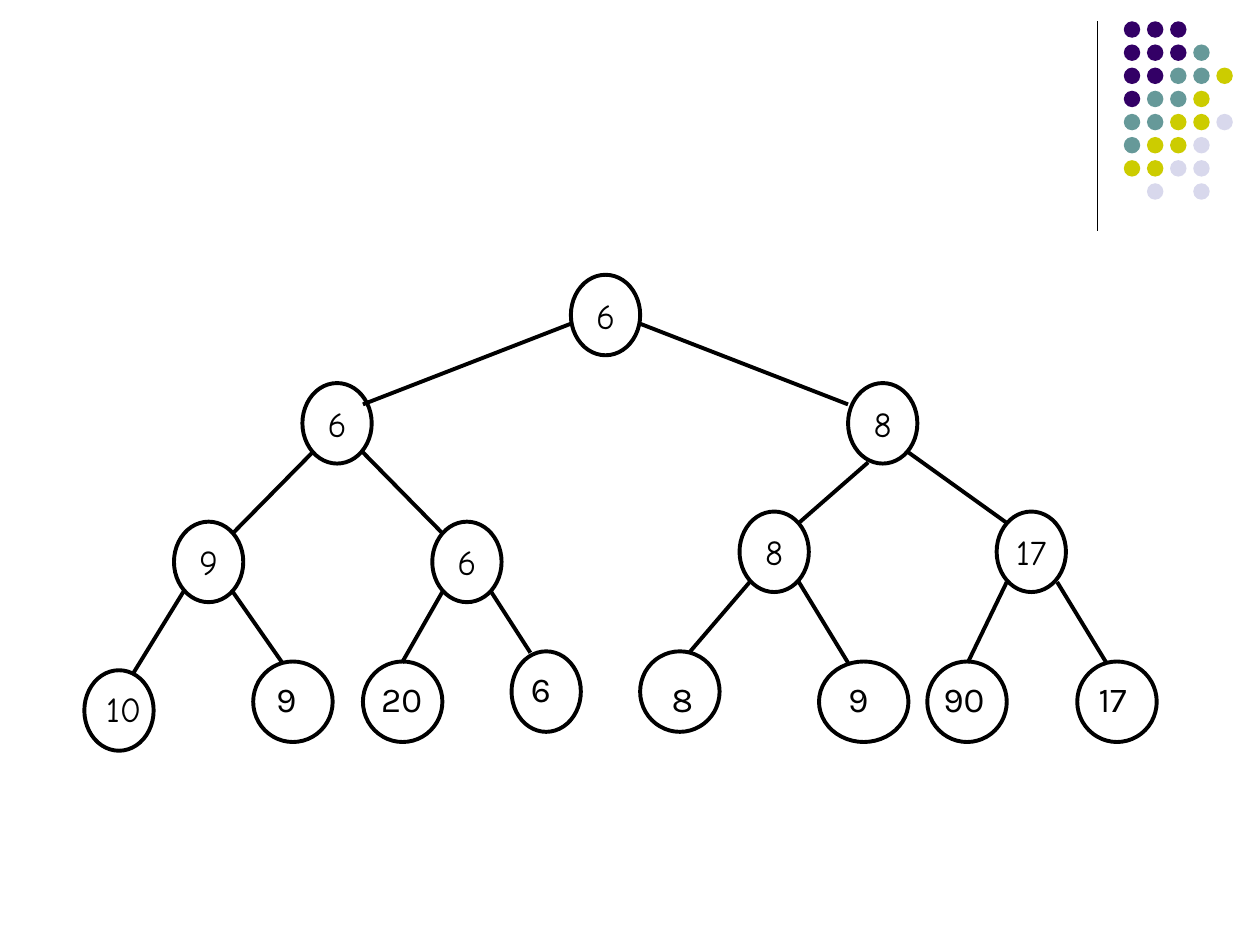
from pptx import Presentation
from pptx.dml.color import RGBColor
from pptx.enum.shapes import MSO_CONNECTOR, MSO_SHAPE
from pptx.enum.text import MSO_ANCHOR, MSO_AUTO_SIZE, PP_ALIGN
from pptx.oxml import parse_xml
from pptx.oxml.ns import nsdecls
from pptx.util import Pt

BLACK = RGBColor(0x00, 0x00, 0x00)
WHITE = RGBColor(0xFF, 0xFF, 0xFF)
PURPLE = RGBColor(0x33, 0x00, 0x66)
TEAL = RGBColor(0x66, 0x99, 0x99)
YELLOW = RGBColor(0xCC, 0xCC, 0x00)
LAVENDER = RGBColor(0xD8, 0xD8, 0xEC)

DOT_COLORS = {"P": PURPLE, "T": TEAL, "Y": YELLOW, "L": LAVENDER}
DOT_ROWS = ["PPP", "PPPT", "PPTTY", "PTTY", "TTYYL", "TYYL", "YYLL", " L L"]
DOT_LEFT, DOT_TOP, DOT_PITCH, DOT_SIZE = 642.2, 12.2, 13.22, 9.4

NODE_WIDTH, NODE_HEIGHT = 39.6, 46
LABEL_HEIGHT = 31.5

INNER_NODES = [
    ("6", 326.2, 157),
    ("8", 484.6, 218.9),
    ("6", 172.8, 218.9),
    ("9", 99.4, 298.1),
    ("6", 247, 298.1),
    ("8", 422.6, 292.3),
    ("17", 569.5, 292.3),
]

LEAF_NODES = [
    (48.2, 383, 39.6),
    (144.7, 378, 45.4),
    (207.4, 378, 45.4),
    (292.3, 372.2, 39.6),
    (365.8, 372.2, 45.4),
    (468, 378, 51.1),
    (529.9, 378, 45.4),
    (615.6, 378, 45.4),
]

LEAF_LABELS = [
    ("10", 36.7, 389.5, 51.1, "Comic Neue"),
    ("9", 139, 383.8, 37.4, "Karla"),
    ("20", 195.8, 383.8, 52.6, "Karla"),
    ("6", 269.3, 378, 52.6, "Karla"),
    ("8", 342.7, 383.8, 60.5, "Karla"),
    ("9", 450.7, 383.8, 52.6, "Karla"),
    ("90", 524.2, 383.8, 45.4, "Karla"),
    ("17", 575.3, 383.8, 75.6, "Karla"),
]

EDGES = [
    (326.2, 185, 207.4, 231.1),
    (365.8, 185, 484.6, 231.1),
    (178.6, 258.5, 133.2, 304.6),
    (207.4, 258.5, 252.7, 304.6),
    (496.1, 264.2, 456.5, 298.8),
    (519.1, 258.5, 575.3, 298.8),
    (105.1, 337.7, 76.3, 384.5),
    (133.2, 338.4, 161.3, 378.7),
    (252.7, 338.4, 229.7, 378.7),
    (280.8, 338.4, 303.1, 373),
    (428.4, 332.6, 393.8, 373),
    (456.5, 332.6, 484.6, 378.7),
    (575.3, 332.6, 553, 378.7),
    (604.1, 332.6, 632.2, 378.7),
]


def write_text(frame, text, font="Comic Neue", size=20, color=BLACK,
               align=PP_ALIGN.CENTER, anchor=MSO_ANCHOR.MIDDLE, wrap=False):
    frame.word_wrap = wrap
    frame.vertical_anchor = anchor
    paragraph = frame.paragraphs[0]
    paragraph.alignment = align
    run = paragraph.add_run()
    run.text = text
    run.font.name = font
    run.font.size = Pt(size)
    run.font.color.rgb = color


class TreeSlide:
    line_color = BLACK
    line_width = 2.25
    node_fill = WHITE

    def __init__(self, slide):
        self.slide = slide

    def ellipse(self, shapes, left, top, width, height, fill):
        shape = shapes.add_shape(MSO_SHAPE.OVAL, Pt(left), Pt(top), Pt(width), Pt(height))
        shape.shadow.inherit = False
        shape.fill.solid()
        shape.fill.fore_color.rgb = fill
        return shape

    def dots(self):
        group = self.slide.shapes.add_group_shape()
        for row, codes in enumerate(DOT_ROWS):
            for column, code in enumerate(codes):
                if code in DOT_COLORS:
                    dot = self.ellipse(group.shapes, DOT_LEFT + column * DOT_PITCH,
                                       DOT_TOP + row * DOT_PITCH, DOT_SIZE, DOT_SIZE,
                                       DOT_COLORS[code])
                    dot.line.fill.background()

    def node(self, left, top, width=NODE_WIDTH, text=None):
        shape = self.ellipse(self.slide.shapes, left, top, width, NODE_HEIGHT, self.node_fill)
        shape.line.color.rgb = self.line_color
        shape.line.width = Pt(self.line_width)
        if text:
            write_text(shape.text_frame, text)

    def line(self, x1, y1, x2, y2, width=line_width):
        connector = self.slide.shapes.add_connector(
            MSO_CONNECTOR.STRAIGHT, Pt(x1), Pt(y1), Pt(x2), Pt(y2))
        connector.line.color.rgb = self.line_color
        connector.line.width = Pt(width)
        connector._element.spPr.append(parse_xml(f"<a:effectLst {nsdecls('a')}/>"))

    def label(self, text, left, top, width, font):
        box = self.slide.shapes.add_textbox(Pt(left), Pt(top), Pt(width), Pt(LABEL_HEIGHT))
        write_text(box.text_frame, text, font=font, align=PP_ALIGN.RIGHT,
                   anchor=MSO_ANCHOR.TOP, wrap=True)
        box.text_frame.auto_size = MSO_AUTO_SIZE.SHAPE_TO_FIT_TEXT


def main():
    presentation = Presentation()
    presentation.slide_width = Pt(720)
    presentation.slide_height = Pt(540)
    tree = TreeSlide(presentation.slides.add_slide(presentation.slide_layouts[6]))

    tree.line(627, 12.2, 627, 131.8, width=0.75)
    tree.dots()
    for text, left, top in INNER_NODES:
        tree.node(left, top, text=text)
    for leaf in LEAF_NODES:
        tree.node(*leaf)
    for edge in EDGES:
        tree.line(*edge)
    for label in LEAF_LABELS:
        tree.label(*label)

    presentation.save("out.pptx")


if __name__ == "__main__":
    main()
